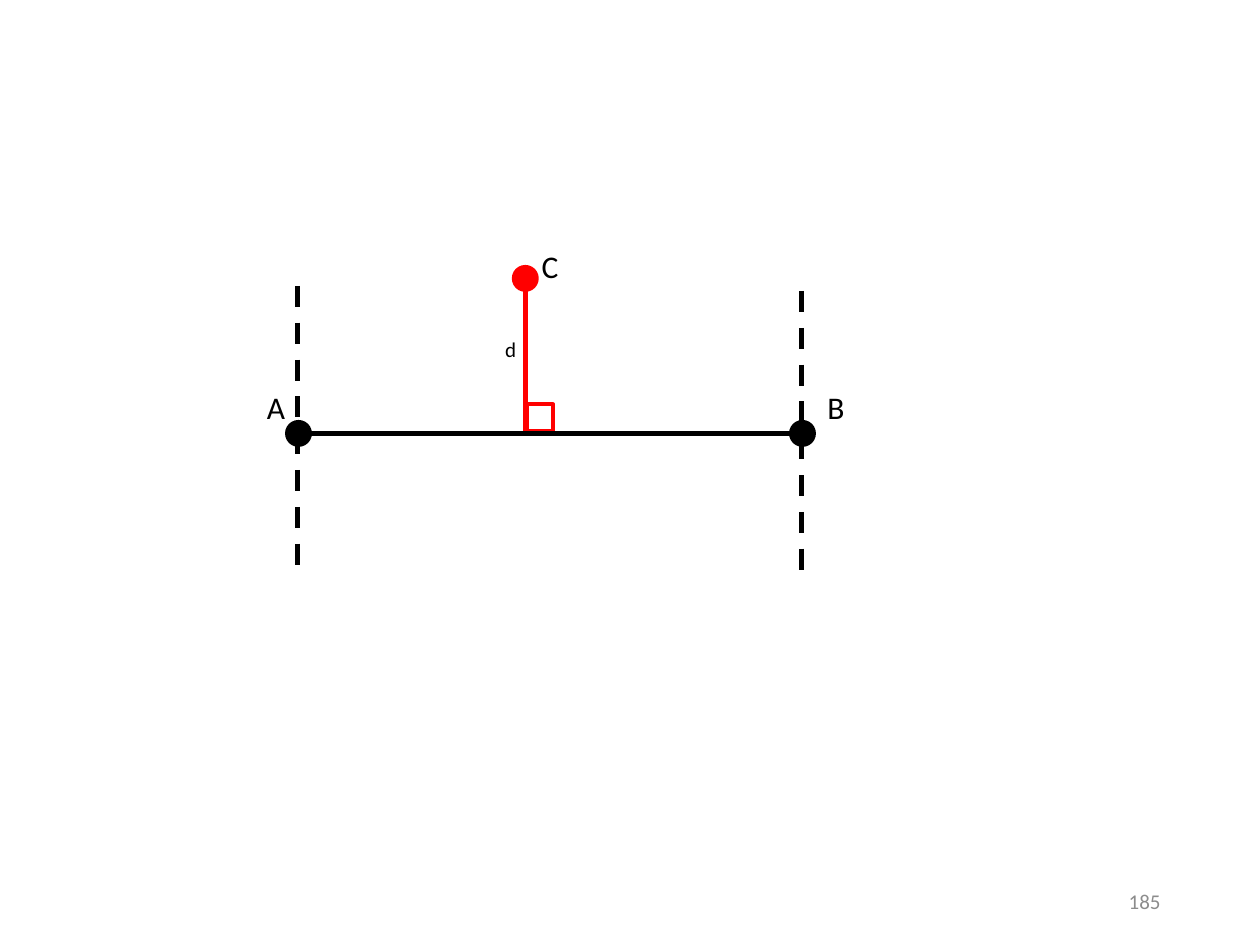
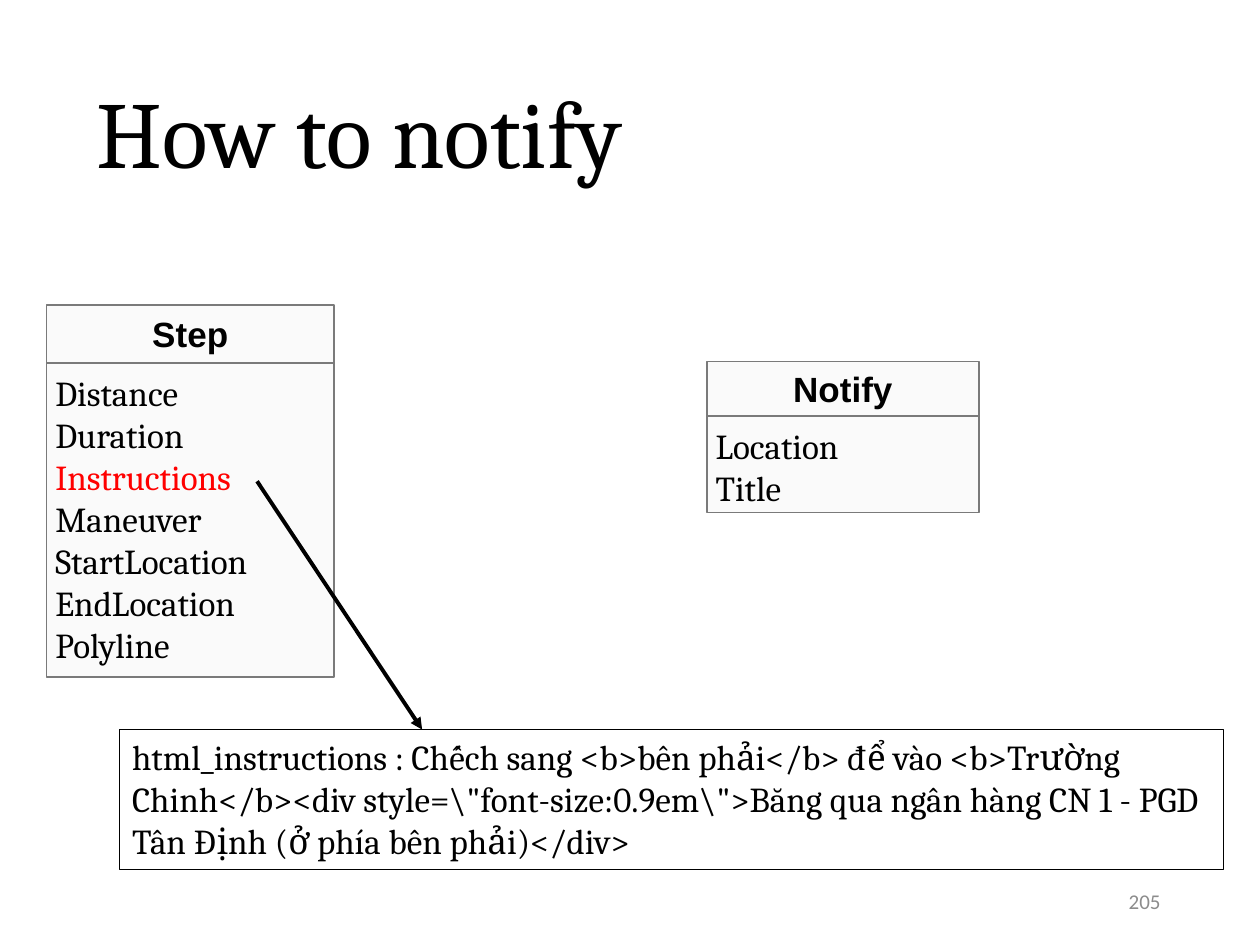
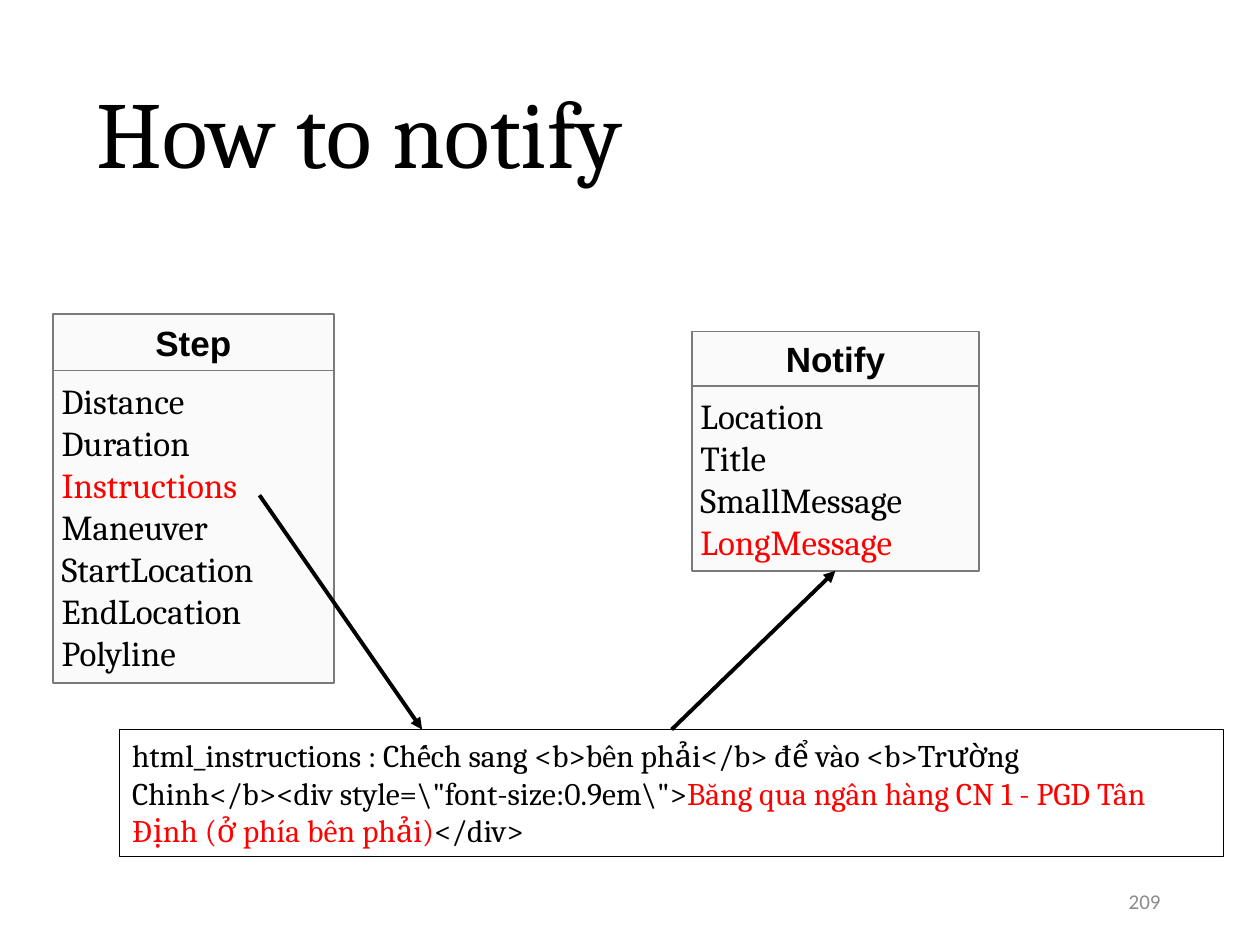
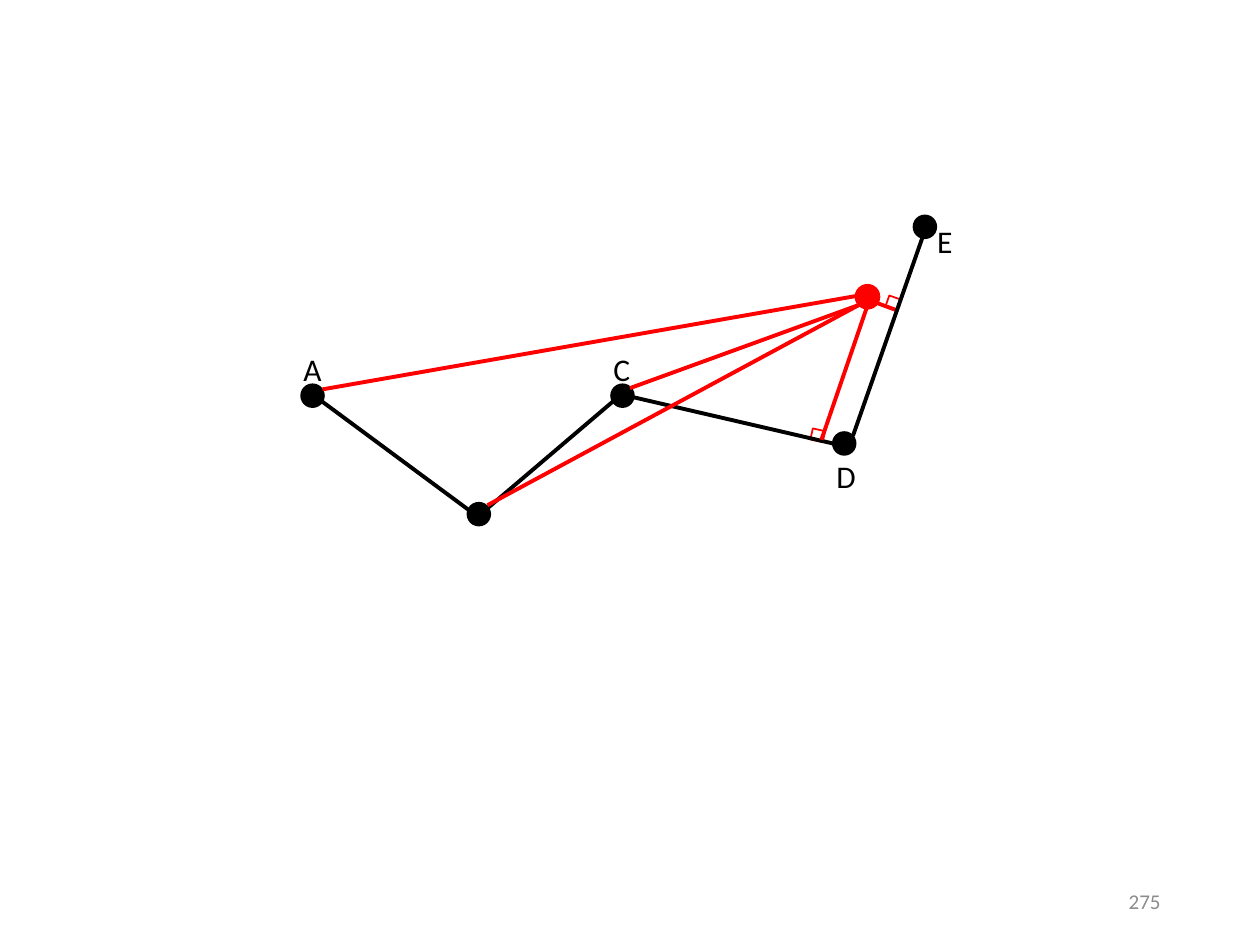
from dataclasses import dataclass
from typing import Any

from lxml import etree
from pptx import Presentation
from pptx.dml.color import RGBColor
from pptx.enum.dml import MSO_LINE
from pptx.enum.shapes import MSO_CONNECTOR, MSO_SHAPE
from pptx.enum.text import MSO_ANCHOR, MSO_AUTO_SIZE, PP_ALIGN
from pptx.oxml.ns import qn
from pptx.util import Pt

STRAIGHT = MSO_CONNECTOR.STRAIGHT
RECT, OVAL = MSO_SHAPE.RECTANGLE, MSO_SHAPE.OVAL
DASH = MSO_LINE.DASH
TOP, MIDDLE = MSO_ANCHOR.TOP, MSO_ANCHOR.MIDDLE
LEFT, CENTER, RIGHT = PP_ALIGN.LEFT, PP_ALIGN.CENTER, PP_ALIGN.RIGHT
FIXED, GROW = MSO_AUTO_SIZE.NONE, MSO_AUTO_SIZE.SHAPE_TO_FIT_TEXT

BLACK, RED, GREY = "000000", "FF0000", "8C8C8C"
CARD_FILL, CARD_LINE = "FAFAFA", "7A7A7A"

TITLE = {"name": "Cambria", "size": Pt(54)}
BODY = {"name": "Cambria", "size": Pt(20)}
SMALL_BODY = {"name": "Cambria", "size": Pt(18)}
HEADING = {"name": "Arial", "size": Pt(20), "bold": True}
LABEL = {"name": "Calibri", "size": Pt(18)}
SMALL = {"name": "Calibri", "size": Pt(12)}

STEP_FIELDS = ("Distance", "Duration", "Instructions", "Maneuver",
               "StartLocation", "EndLocation", "Polyline")
HIGHLIGHTED = {"Instructions", "LongMessage"}
HTML_START = ("html_instructions : Chếch sang <b>bên phải</b> để vào "
              "<b>Trường Chinh</b><div style=\\\"font-size:0.9em\\\">")
HTML_PLACE = "Băng qua ngân hàng CN 1 - PGD Tân Định (ở phía bên phải)"
HTML_END = "</div>"
NOTE_TOP = 416.9

Point = tuple[float, float]
Run = tuple[str, str]


@dataclass
class Stroke:
    start: Point
    end: Point
    color: str = BLACK
    width: float = 2.25
    dashed: bool = False
    arrow: bool = False


@dataclass
class Dot:
    center: Point
    size: float = 13
    color: str = BLACK


@dataclass
class Label:
    text: str
    left: float
    top: float
    width: float = 25
    height: float = 28.8
    style: Any = None


@dataclass
class Corner:
    left: float
    top: float
    width: float
    height: float
    rotation: float = 0
    weight: float = 1


@dataclass
class Card:
    name: str
    fields: tuple[str, ...]
    left: float
    top: float
    width: float
    head: float
    body: float


def rgb(value: str) -> RGBColor:
    return RGBColor.from_string(value)


def apply(target: Any, values: dict[str, Any]) -> None:
    for name, value in values.items():
        setattr(target, name, value)


def write(sp: Any, paragraphs: list[list[Run]], style: dict[str, Any],
          align: Any = LEFT, anchor: Any = TOP, wrap: bool = True,
          fit: Any = FIXED, inset: float | None = None) -> None:
    tf = sp.text_frame
    apply(tf, {"word_wrap": wrap, "auto_size": fit, "vertical_anchor": anchor})
    if inset is not None:
        for side in ("left", "top", "right", "bottom"):
            setattr(tf, f"margin_{side}", Pt(inset))
    for i, runs in enumerate(paragraphs):
        p = tf.paragraphs[0] if i == 0 else tf.add_paragraph()
        p.alignment = align
        for text, color in runs:
            r = p.add_run()
            r.text = text
            apply(r.font, style)
            r.font.color.rgb = rgb(color)


def add_shape(shapes: Any, kind: Any, box: tuple[float, ...], line: str,
              weight: float = 1, fill: str | None = None) -> Any:
    sp = shapes.add_shape(kind, *map(Pt, box))
    sp.shadow.inherit = False
    if fill:
        sp.fill.solid()
        sp.fill.fore_color.rgb = rgb(fill)
    else:
        sp.fill.background()
    sp.line.color.rgb = rgb(line)
    sp.line.width = Pt(weight)
    return sp


def add_text(s: Any, box: tuple[float, ...], text: str, style: dict[str, Any],
             color: str = BLACK, **layout: Any) -> Any:
    sp = s.shapes.add_textbox(*map(Pt, box))
    write(sp, [[(text, color)]], style, **layout)
    return sp


def add_stroke(s: Any, stroke: Stroke) -> None:
    sp = s.shapes.add_connector(STRAIGHT, *map(Pt, stroke.start + stroke.end))
    sp.line.color.rgb = rgb(stroke.color)
    sp.line.width = Pt(stroke.width)
    if stroke.dashed:
        sp.line.dash_style = DASH
    if stroke.arrow:
        etree.SubElement(sp.line._get_or_add_ln(), qn("a:tailEnd"), type="triangle")
    etree.SubElement(sp._element.spPr, qn("a:effectLst"))


def add_dot(s: Any, dot: Dot) -> None:
    x, y = dot.center
    box = (x - dot.size / 2, y - dot.size / 2, dot.size, dot.size)
    add_shape(s.shapes, OVAL, box, dot.color, fill=dot.color)


def add_label(s: Any, label: Label) -> None:
    box = (label.left, label.top, label.width, label.height)
    add_text(s, box, label.text, label.style or LABEL, wrap=False, fit=GROW)


def add_corner(s: Any, corner: Corner) -> None:
    box = (corner.left, corner.top, corner.width, corner.height)
    sp = add_shape(s.shapes, RECT, box, RED, corner.weight)
    sp.rotation = corner.rotation


DRAW = {Stroke: add_stroke, Dot: add_dot, Label: add_label, Corner: add_corner}


def draw(s: Any, parts: list[Any]) -> None:
    for part in parts:
        DRAW[type(part)](s, part)


def add_card(s: Any, card: Card) -> None:
    shapes = s.shapes.add_group_shape().shapes
    body = add_shape(shapes, RECT, (card.left, card.top + card.head, card.width, card.body),
                     CARD_LINE, fill=CARD_FILL)
    rows = [[(field, RED if field in HIGHLIGHTED else BLACK)] for field in card.fields]
    write(body, rows, BODY, inset=5)
    head = add_shape(shapes, RECT, (card.left, card.top, card.width, card.head),
                     CARD_LINE, fill=CARD_FILL)
    write(head, [[(card.name, BLACK)]], HEADING, CENTER, MIDDLE, inset=5)


def add_slide(prs: Any, number: int) -> Any:
    s = prs.slides.add_slide(prs.slide_layouts[6])
    add_text(s, (508.3, 500.4, 162, 28.8), str(number), SMALL, GREY,
             align=RIGHT, anchor=MIDDLE)
    return s


def notify_slide(prs: Any, number: int, cards: list[Card], note: list[Run],
                 note_height: float, style: dict[str, Any], arrows: list[Stroke]) -> None:
    s = add_slide(prs, number)
    title = add_text(s, (48.2, 33.8, 648, 90), "How to notify", TITLE, anchor=MIDDLE)
    title.text_frame.paragraphs[0].line_spacing = 0.9
    for card in cards:
        add_card(s, card)
    sp = add_shape(s.shapes, RECT, (68.4, NOTE_TOP, 630.7, note_height), BLACK, 0.75)
    write(sp, [note], style, fit=GROW)
    draw(s, arrows)


def distance_slide(prs: Any) -> None:
    base, left, right, foot = 247.7, 170, 458, 300.2
    draw(add_slide(prs, 185), [
        Corner(301, 231.1, 15.1, 15.1, weight=2.25),
        Stroke((left, base), (right, base), width=3),
        Stroke((foot, 160.6), (foot, 246.2), RED, 3),
        Stroke((left, 163.4), (left, 326.2), width=3, dashed=True),
        Stroke((right, 166.3), (right, 329.1), width=3, dashed=True),
        Dot((left + 0.6, base), 14.4),
        Dot((right + 0.6, base), 14.4),
        Dot((foot, 159.1), 14.4, RED),
        Label("A", 145.4, 218.2),
        Label("B", 465.8, 218.2),
        Label("C", 302.4, 137.5),
        Label("d", 281.5, 188.6, 20.9, 21.6, SMALL),
    ])


def polyline_slide(prs: Any) -> None:
    a, b, c = (178.6, 225.4), (273, 295.2), (355, 225.4)
    hub = (491, 174.2)
    draw(add_slide(prs, 275), [
        Stroke((498.2, 172.1), (511.9, 177.1), RED),
        Corner(506.9, 169.9, 7.2, 6.5, 19.4),
        Corner(463.7, 245.5, 7.2, 6.5, 12.7),
        Dot((495.7, 169.6), 13.7, RED),
        Stroke(a, b),
        Stroke(b, c),
        Stroke(c, (475.9, 253.4)),
        Stroke((487.4, 249.1), (528.5, 131.8)),
        *(Dot(center) for center in ((178.6, 226.1), (273.6, 293.8), (355.7, 226.1),
                                     (482.4, 253.4), (528.5, 129.6))),
        Stroke(hub, (278.6, 288.7), RED),
        Stroke(hub, (360, 221.8), RED),
        Stroke((488.9, 169.2), (184.3, 222.5), RED),
        Stroke((496.8, 171.4), (469.4, 251.3), RED),
        Label("A", 166.3, 196.6),
        Label("C", 343.4, 196.6),
        Label("D", 470.9, 257.8),
        Label("E", 528.5, 123.1),
    ])


def main() -> None:
    prs = Presentation()
    prs.slide_width, prs.slide_height = Pt(720), Pt(540)
    distance_slide(prs)
    notify_slide(
        prs, 205,
        [Card("Step", STEP_FIELDS, 26.6, 174.3, 164.2, 33.1, 179.3),
         Card("Notify", ("Location", "Title"), 403.9, 206.6, 155.5, 31, 55.4)],
        [(HTML_START + HTML_PLACE + HTML_END, BLACK)], 79.9, BODY,
        [Stroke((146.9, 275), (241.2, NOTE_TOP), arrow=True)])
    notify_slide(
        prs, 209,
        [Card("Step", STEP_FIELDS, 30.2, 179.3, 160.6, 32.4, 178.6),
         Card("Notify", ("Location", "Title", "SmallMessage", "LongMessage"),
              395.3, 189.4, 164.2, 31, 105.8)],
        [(HTML_START, BLACK), (HTML_PLACE, RED), (HTML_END, BLACK)], 72.7, SMALL_BODY,
        [Stroke((148.3, 283), (241.2, NOTE_TOP), arrow=True),
         Stroke((383.8, NOTE_TOP), (477.4, 326.2), arrow=True)])
    polyline_slide(prs)
    prs.save("out.pptx")


if __name__ == "__main__":
    main()
